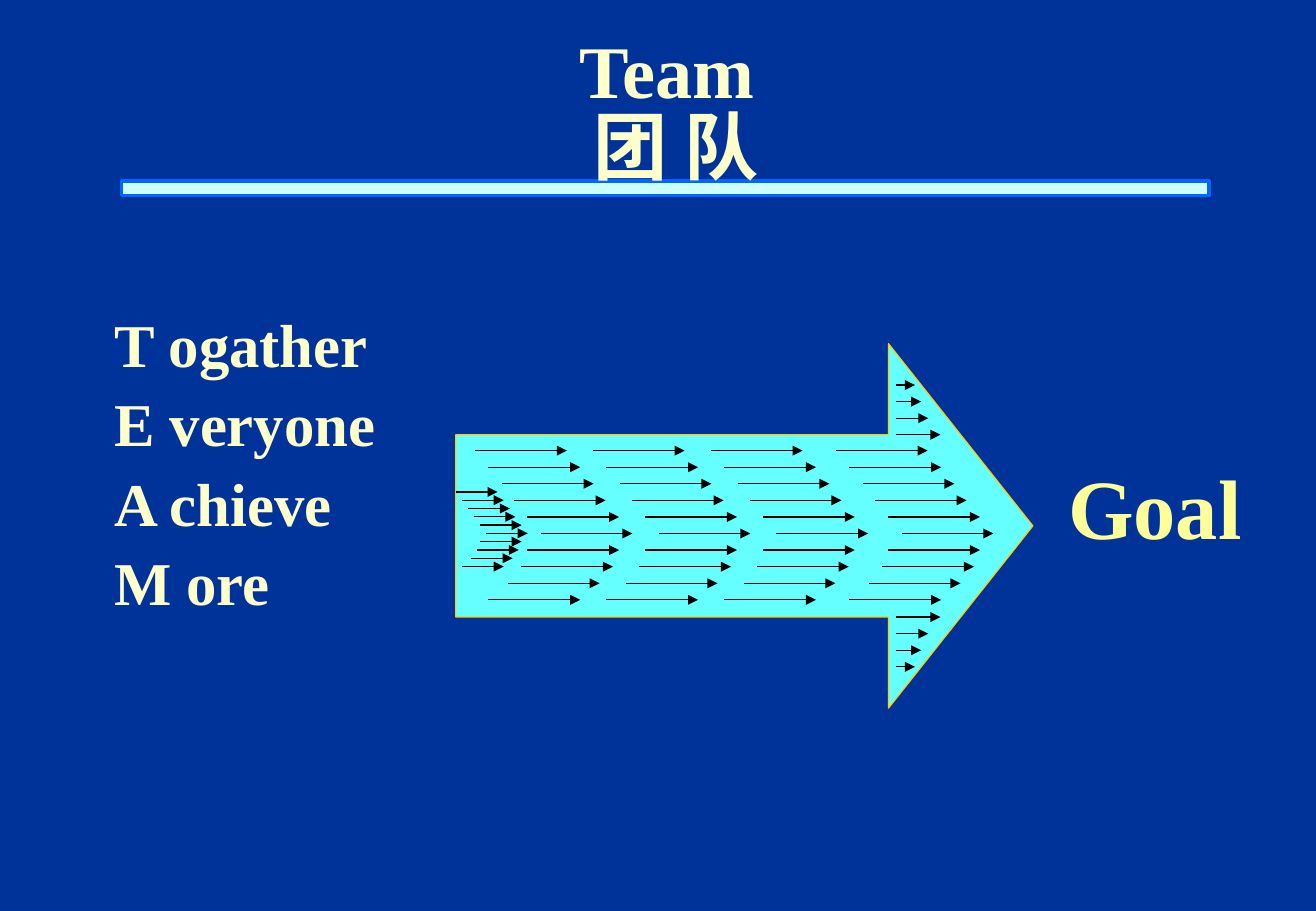
import pptx
import pptx.util
import pptx.dml.color
from lxml import etree
from pptx.enum.shapes import MSO_CONNECTOR, MSO_SHAPE
from pptx.enum.text import MSO_ANCHOR, PP_ALIGN
from pptx.oxml.ns import qn

Inches = pptx.util.Inches
Pt = pptx.util.Pt
RGB = pptx.dml.color.RGBColor

NAVY = RGB(0x00, 0x33, 0x99)
BLUE = RGB(0x00, 0x66, 0xFF)
PALE = RGB(0xCC, 0xFF, 0xFF)
CYAN = RGB(0x66, 0xFF, 0xFF)
GOLD = RGB(0xFF, 0xCC, 0x00)
CREAM = RGB(0xFF, 0xFF, 0xCC)
LEMON = RGB(0xFF, 0xFF, 0x99)
BLACK = RGB(0x00, 0x00, 0x00)

FONT = "Times New Roman"
STEP = 0.1365
WEDGE = [0, 0.11, 0.22, 0.32, 0.43, 0.54, 0.43, 0.38, 0.27, 0.11]
TIPS = [0.16, 0.21, 0.27, 0.37]


def add_box(slide, kind, box, fill, line, width):
    shape = slide.shapes.add_shape(kind, *map(Inches, box))
    shape.shadow.inherit = False
    shape.fill.solid()
    shape.fill.fore_color.rgb = fill
    shape.line.color.rgb = line
    shape.line.width = Pt(width)
    return shape


def add_text(slide, box, lines, size, color, align=PP_ALIGN.LEFT,
             anchor=MSO_ANCHOR.TOP, wrap=False, pitch=None):
    frame = slide.shapes.add_textbox(*map(Inches, box)).text_frame
    frame.word_wrap = wrap
    frame.vertical_anchor = anchor
    frame.text = "\n".join(lines)
    for para in frame.paragraphs:
        para.alignment = align
        para.line_spacing = pitch
        para.font.name = FONT
        para.font.size = Pt(size)
        para.font.bold = True
        para.font.color.rgb = color


def add_arrow(slide, left, top, length):
    arrow = slide.shapes.add_connector(
        MSO_CONNECTOR.STRAIGHT, Inches(left), Inches(top),
        Inches(left + length), Inches(top))
    arrow.line.color.rgb = BLACK
    arrow.line.width = Pt(0.75)
    etree.SubElement(arrow.line._get_or_add_ln(), qn("a:tailEnd"),
                     type="triangle")
    etree.SubElement(arrow._element.spPr, qn("a:effectLst"))


def add_wedge(slide, left, top, length, wide=1, high=1):
    """Stack arrows whose starts follow the outline of a wedge."""
    for row, shift in enumerate(WEDGE):
        add_arrow(slide, left + shift * wide, top + row * STEP * high, length)


def add_tips(slide):
    """Fill the upper and lower corners of the arrow's head."""
    for row, length in enumerate(TIPS):
        add_arrow(slide, 7.37, 3.17 + row * STEP, length)
        add_arrow(slide, 7.37, 5.49 - row * STEP, length)


def main():
    deck = pptx.Presentation()
    deck.slide_width = Inches(10.83)
    deck.slide_height = Inches(7.5)
    slide = deck.slides.add_slide(deck.slide_layouts[6])
    slide.background.fill.solid()
    slide.background.fill.fore_color.rgb = NAVY

    add_box(slide, MSO_SHAPE.RECTANGLE, (1, 1.49, 8.95, 0.12),
            PALE, BLUE, 2.25)
    add_text(slide, (2.13, 0.31, 6.87, 1.25), ["Team \v团 队"], 44, CREAM,
             PP_ALIGN.CENTER, MSO_ANCHOR.MIDDLE, True, 0.85)

    team = add_box(slide, MSO_SHAPE.RIGHT_ARROW, (3.75, 2.83, 4.75, 3),
                   CYAN, GOLD, 0.75)
    team.adjustments[0] = 0.5
    team.adjustments[1] = 0.396
    for left in (3.91, 4.88, 5.85, 6.88):
        add_wedge(slide, left, 3.71, 0.755)
    add_wedge(slide, 3.75, 4.05, 0.345, 0.46, 0.5)
    add_tips(slide)

    add_text(slide, (0.84, 2.42, 2.47, 2.5),
             ["T ogather", "E veryone", "A chieve", "M ore"], 36, CREAM,
             pitch=1.09)
    add_text(slide, (8.69, 3.7, 1.63, 0.94), ["Goal"], 50, LEMON,
             PP_ALIGN.CENTER)
    deck.save("out.pptx")


if __name__ == "__main__":
    main()
